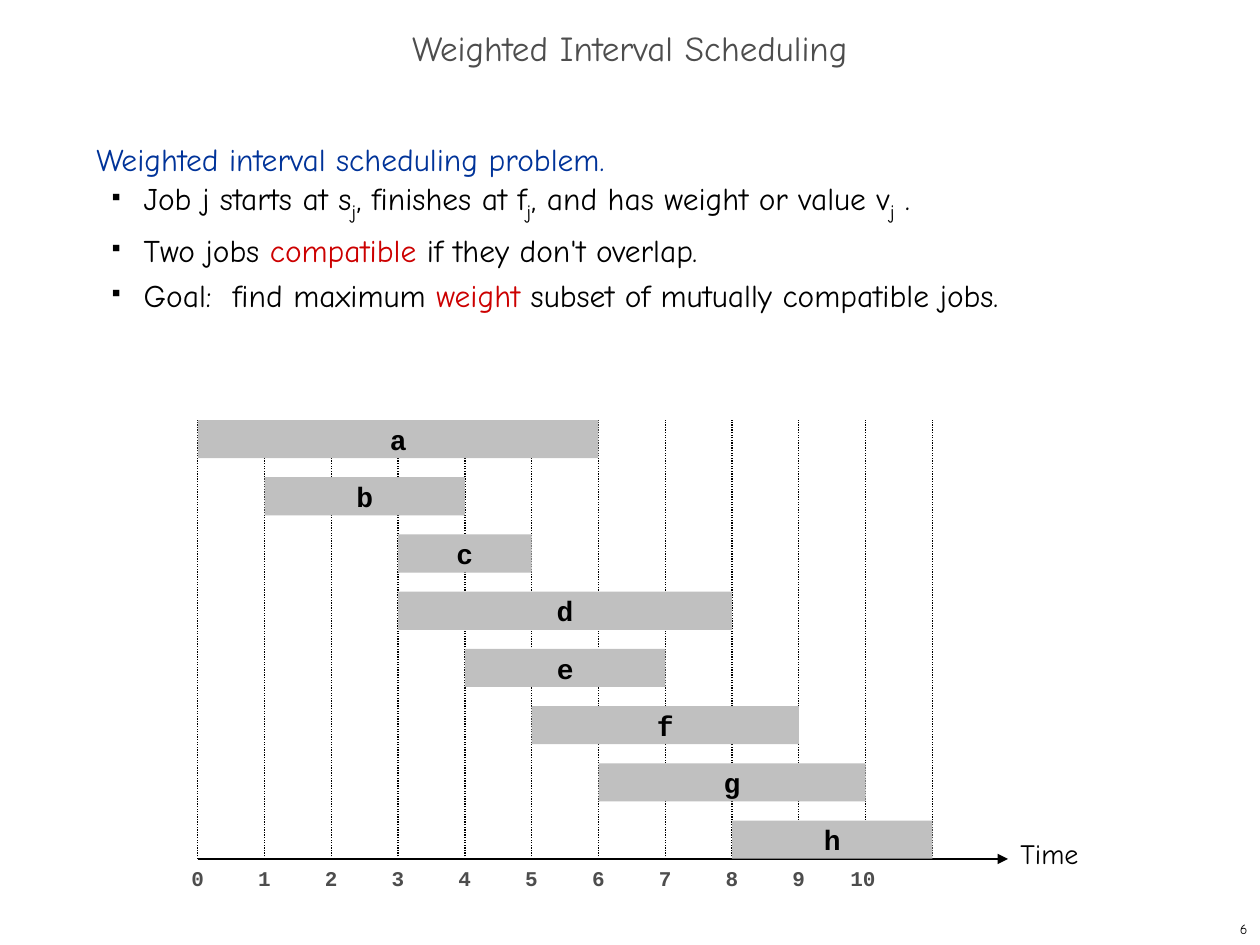
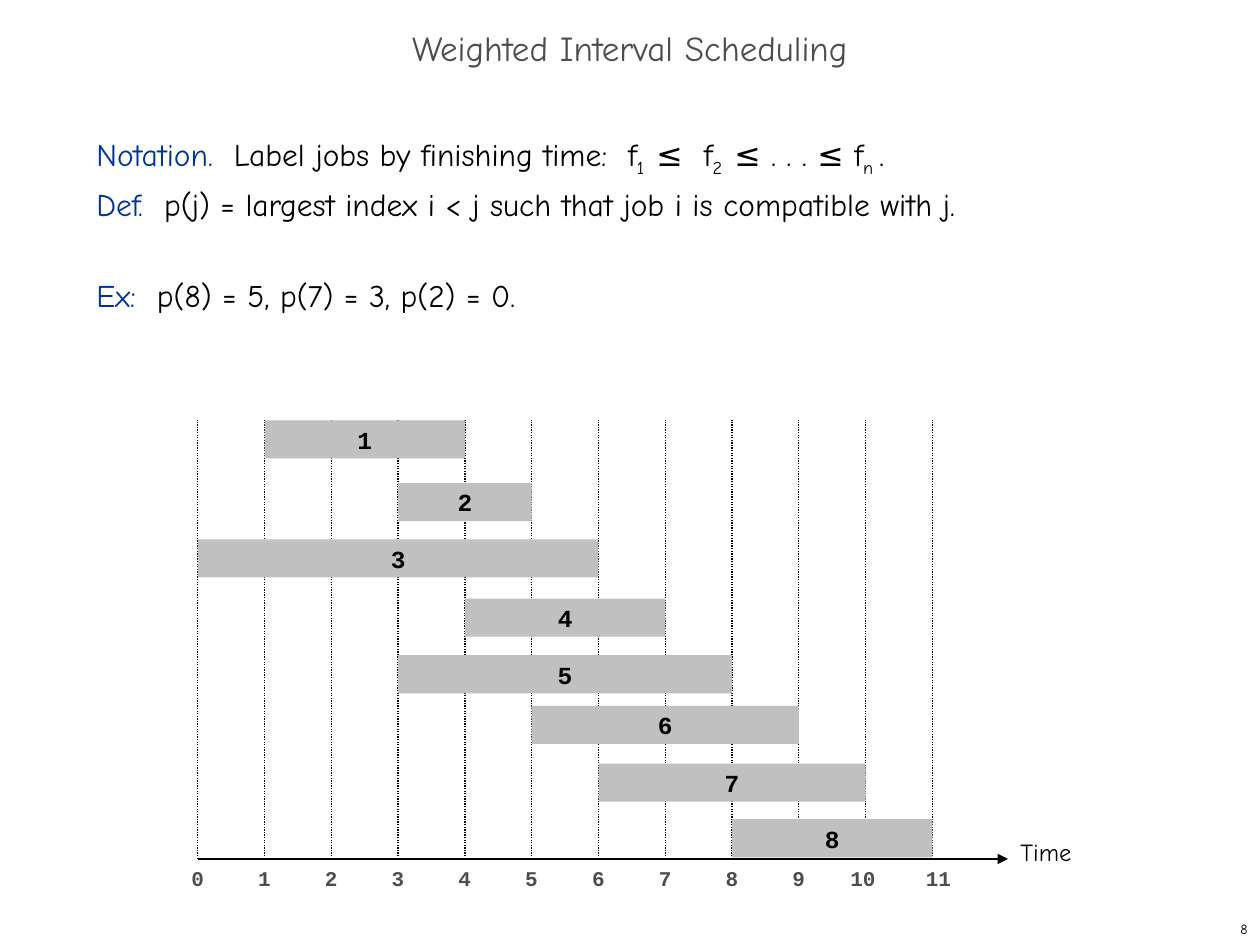
from pptx import Presentation
from pptx.dml.color import RGBColor
from pptx.enum.dml import MSO_LINE
from pptx.enum.shapes import MSO_CONNECTOR, MSO_SHAPE
from pptx.enum.text import MSO_ANCHOR as Anchor, PP_ALIGN as Align
from pptx.oxml.ns import qn
from pptx.util import Pt
from lxml.etree import SubElement

BLACK = RGBColor(0x00, 0x00, 0x00)
GREY = RGBColor(0x4D, 0x4D, 0x4D)
SILVER = RGBColor(0xC0, 0xC0, 0xC0)
BLUE = RGBColor(0x00, 0x33, 0x99)
RED = RGBColor(0xCC, 0x00, 0x00)

HAND = "Comic Neue"
MONO = "Courier New"

CHART_LEFT = 113.04
CHART_TOP = 240
AXIS_Y = 490.8
AXIS_END = 576
HOUR = 38.16
LAST_HOUR = 11
BAR_HEIGHT = 21.8
TWO_DIGIT_SHIFT = {10: -5}

PROBLEM = [
    (False, 0, [("Weighted interval scheduling problem.", BLUE)]),
    (True, 0, [("Job j starts at s", BLACK), ("j", BLACK, 20),
               (", finishes at f", BLACK), ("j", BLACK, 20),
               (", and has weight or value v", BLACK), ("j", BLACK, 20),
               (" .", BLACK)]),
    (True, 0, [("Two jobs ", BLACK), ("compatible ", RED),
               ("if they don't overlap.", BLACK)]),
    (True, 0, [("Goal:  find maximum ", BLACK), ("weight", RED),
               (" subset of mutually compatible jobs.", BLACK)]),
]
NOTATION = [
    (False, 0, [("Notation.  ", BLUE),
                ("Label jobs by finishing time:  f", BLACK),
                ("1  ", BLACK, 18), ("≤  f", BLACK), ("2  ", BLACK, 18),
                ("≤ . . . ≤ f", BLACK), ("n ", BLACK, 18), (".", BLACK)]),
    (False, 0, [("Def.  ", BLUE),
                ("p(j) = largest index i < j such that job i is "
                 "compatible with j.", BLACK)]),
    (False, 26, [("Ex:  ", BLUE), ("p(8) = 5, p(7) = 3, p(2) = 0.", BLACK)]),
]

LETTERED_JOBS = [("a", 0, 6), ("b", 1, 4), ("c", 3, 5), ("d", 3, 8),
                 ("e", 4, 7), ("f", 5, 9), ("g", 6, 10), ("h", 8, 11)]
NUMBERED_JOBS = [("1", 1, 4), ("2", 3, 5), ("3", 0, 6), ("4", 4, 7),
                 ("5", 3, 8), ("6", 5, 9), ("7", 6, 10), ("8", 8, 11)]
LETTERED_TOPS = [CHART_TOP + 32.7 * row for row in range(8)]
NUMBERED_TOPS = [240.2, 276, 308.2, 342, 374.4, 403.3, 436.3, 468.1]


def hour_x(hour):
    return CHART_LEFT + hour * HOUR


def add_span(para, text, size, color, font=HAND, bold=False):
    span = para.add_run()
    span.text = text
    span.font.name = font
    span.font.size = Pt(size)
    span.font.bold = bold
    span.font.color.rgb = color
    return span


def add_box(page, left, top, width, height, anchor=Anchor.TOP):
    box = page.shapes.add_textbox(Pt(left), Pt(top), Pt(width), Pt(height))
    box.text_frame.word_wrap = True
    box.text_frame.vertical_anchor = anchor
    return box.text_frame


def add_title(page, text):
    para = add_box(page, 0, 12.2, 720, 36, Anchor.MIDDLE).paragraphs[0]
    para.alignment = Align.CENTER
    para.line_spacing = 0.7
    add_span(para, text, 20, GREY)


def add_page_number(page, number):
    para = add_box(page, 570, 522, 150, 18, Anchor.MIDDLE).paragraphs[0]
    para.alignment = Align.RIGHT
    add_span(para, number, 8, BLACK)


def add_bullet(para):
    properties = para._p.get_or_add_pPr()
    properties.set("lvl", "1")
    properties.set("marL", str(Pt(27)))
    properties.set("indent", str(-Pt(18)))
    color = SubElement(properties, qn("a:buClr"))
    SubElement(color, qn("a:srgbClr"), val=str(BLACK))
    SubElement(properties, qn("a:buSzPct"), val="35000")
    SubElement(properties, qn("a:buChar"), char="■")


def add_body(page, lines):
    frame = add_box(page, 48, 72, 618, 426)
    for index, (bulleted, gap, spans) in enumerate(lines):
        para = frame.add_paragraph() if index else frame.paragraphs[0]
        if bulleted:
            add_bullet(para)
        para.line_spacing = Pt(26)
        if gap:
            para.space_before = Pt(gap)
        for text, color, *subscript_size in spans:
            size = subscript_size[0] if subscript_size else 18
            span = add_span(para, text, size, color)
            if subscript_size:
                span._r.get_or_add_rPr().set("baseline", "-25000")


def add_line(page, start, end, width):
    line = page.shapes.add_connector(
        MSO_CONNECTOR.STRAIGHT, *(Pt(value) for value in (*start, *end)))
    line.line.color.rgb = BLACK
    line.line.width = Pt(width)
    SubElement(line._element.spPr, qn("a:effectLst"))
    return line


def add_time_axis(page, label_size, last_label):
    axis = add_line(page, (CHART_LEFT, AXIS_Y), (AXIS_END, AXIS_Y), 1.25)
    SubElement(axis.line._get_or_add_ln(), qn("a:tailEnd"), type="triangle")
    label = add_box(page, AXIS_END, 474.5, 60, 26)
    add_span(label.paragraphs[0], "Time", label_size, BLACK)
    for hour in range(LAST_HOUR + 1):
        x = hour_x(hour)
        grid = add_line(page, (x, AXIS_Y), (x, CHART_TOP), 0.75)
        grid.line.dash_style = MSO_LINE.ROUND_DOT
    for hour in range(last_label + 1):
        left = hour_x(hour) - 10.8 + TWO_DIGIT_SHIFT.get(hour, 0)
        tick = add_box(page, left, AXIS_Y, 32.4, 21.6)
        add_span(tick.paragraphs[0], str(hour), 12, GREY, MONO, True)


def add_job(page, name, start, finish, top, size):
    bar = page.shapes.add_shape(
        MSO_SHAPE.RECTANGLE, Pt(hour_x(start)), Pt(top),
        Pt((finish - start) * HOUR), Pt(BAR_HEIGHT))
    bar.shadow.inherit = False
    bar.fill.solid()
    bar.fill.fore_color.rgb = SILVER
    bar.line.fill.background()
    bar.text_frame.word_wrap = False
    bar.text_frame.vertical_anchor = Anchor.MIDDLE
    para = bar.text_frame.paragraphs[0]
    para.alignment = Align.CENTER
    add_span(para, name, size, BLACK, MONO, True)


def add_schedule_page(deck, number, lines, jobs, tops, size, last_label):
    page = deck.slides.add_slide(deck.slide_layouts[6])
    add_page_number(page, number)
    add_title(page, "Weighted Interval Scheduling")
    add_body(page, lines)
    add_time_axis(page, size, last_label)
    for (name, start, finish), top in zip(jobs, tops):
        add_job(page, name, start, finish, top, size)


def main():
    deck = Presentation()
    deck.slide_width = Pt(720)
    deck.slide_height = Pt(540)
    add_schedule_page(deck, "6", PROBLEM, LETTERED_JOBS, LETTERED_TOPS, 16, 10)
    add_schedule_page(deck, "8", NOTATION, NUMBERED_JOBS, NUMBERED_TOPS, 14, 11)
    deck.save("out.pptx")


if __name__ == "__main__":
    main()
